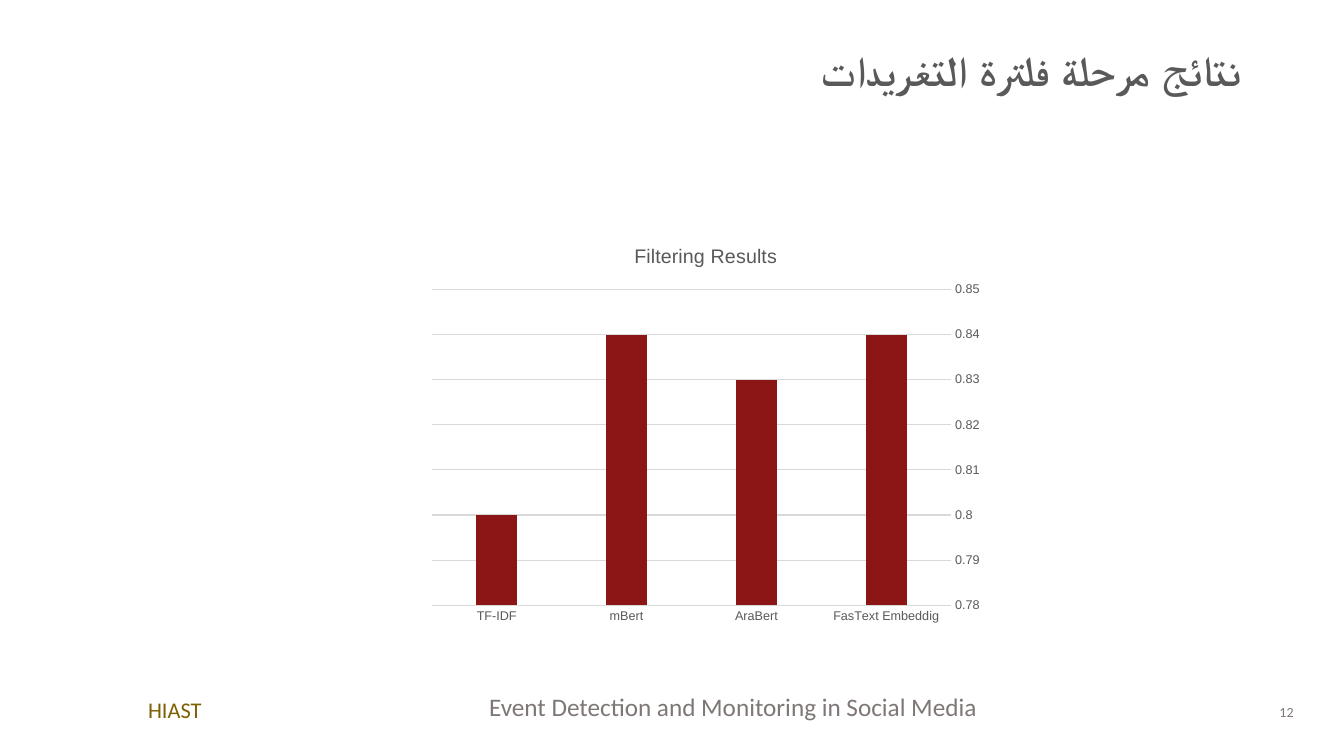
from pptx import Presentation
from pptx import util as u
from pptx.chart.data import CategoryChartData
from pptx.dml.color import RGBColor
from pptx.enum import chart as c, shapes, text as t

PX = 9144  # 100 px to the inch
GREY, RULE, FOOTER = "595959", "D9D9D9", "7F7776"
RESULTS = {"FasText Embeddig": 0.84, "AraBert": 0.83, "mBert": 0.84, "TF-IDF": 0.8}


def color(value):
    return RGBColor.from_string(value)


def emu(*lengths):
    return [u.Emu(length * PX) for length in lengths]


def style_font(font, name, size, value, bold=False):
    font.name, font.size, font.bold = name, u.Pt(size), bold
    font.color.rgb = color(value)


def write(shape, wording, font, size, value, align, margin=10,
          anchor=t.MSO_ANCHOR.TOP, bold=False):
    frame = shape.text_frame
    frame.word_wrap = True
    frame.vertical_anchor = anchor
    frame.margin_left, frame.margin_top, frame.margin_right, frame.margin_bottom = emu(*[margin] * 4)
    paragraph = frame.paragraphs[0]
    paragraph.text = wording
    paragraph.alignment = align
    style_font(paragraph.font, font, size, value, bold)
    return paragraph


def add_title(slide, wording):
    box = slide.shapes.add_textbox(*emu(456, 34, 785, 57))
    paragraph = write(box, wording, "Manrope", 30, GREY, t.PP_ALIGN.RIGHT, bold=True)
    paragraph._p.get_or_add_pPr().set("rtl", "1")


def add_institute(slide, wording):
    shape = slide.shapes.add_shape(shapes.MSO_SHAPE.RECTANGLE, *emu(137, 681, 221, 47))
    shape.shadow.inherit = False
    shape.fill.solid()
    shape.fill.fore_color.rgb = color("FFFFFF")
    shape.line.fill.background()
    write(shape, wording, "Calibri", 16, "7F6000", t.PP_ALIGN.LEFT)
    shape.text_frame.auto_size = t.MSO_AUTO_SIZE.SHAPE_TO_FIT_TEXT


def add_footer(slide, wording, left, top, width, size, align):
    box = slide.shapes.add_textbox(*emu(left, top, width, 21))
    write(box, wording, "Calibri", size, FOOTER, align, 0, t.MSO_ANCHOR.BOTTOM)


def style_line(line):
    line.color.rgb = color(RULE)
    line.width = u.Pt(0.75)


def add_results_chart(slide, heading, results):
    data = CategoryChartData()
    data.categories = list(results)
    data.add_series("Series 1", list(results.values()))
    chart = slide.shapes.add_chart(
        c.XL_CHART_TYPE.COLUMN_CLUSTERED, *emu(417, 225, 566, 402), data).chart
    style_font(chart.font, "Arial", 10, "000000")
    chart.has_legend = False
    chart.has_title = True
    title = chart.chart_title.text_frame.paragraphs[0]
    title.text = heading
    style_font(title.font, "Arial", 14, GREY)

    plot = chart.plots[0]
    plot.gap_width, plot.overlap = 219, -27
    plot.vary_by_categories = False
    fill = plot.series[0].format.fill
    fill.solid()
    fill.fore_color.rgb = color("8C1515")

    methods, scores = chart.category_axis, chart.value_axis
    for axis in (methods, scores):
        axis.major_tick_mark = axis.minor_tick_mark = c.XL_TICK_MARK.NONE
        style_font(axis.tick_labels.font, "Arial", 9, GREY)
    methods.reverse_order = True
    style_line(methods.format.line)
    scores.minimum_scale, scores.maximum_scale, scores.major_unit = 0.78, 0.85, 0.01
    scores.format.line.fill.background()
    style_line(scores.major_gridlines.format.line)


def main():
    presentation = Presentation()
    presentation.slide_width, presentation.slide_height = emu(1333, 750)
    slide = presentation.slides.add_slide(presentation.slide_layouts[6])
    add_institute(slide, "HIAST")
    add_footer(slide, "12", 1241, 694, 42, 10, t.PP_ALIGN.RIGHT)
    add_footer(slide, "Event Detection and Monitoring in Social Media",
               471, 695, 512, 18, t.PP_ALIGN.CENTER)
    add_title(slide, "نتائج مرحلة فلترة التغريدات")
    add_results_chart(slide, "Filtering Results", RESULTS)
    presentation.save("out.pptx")


if __name__ == "__main__":
    main()
